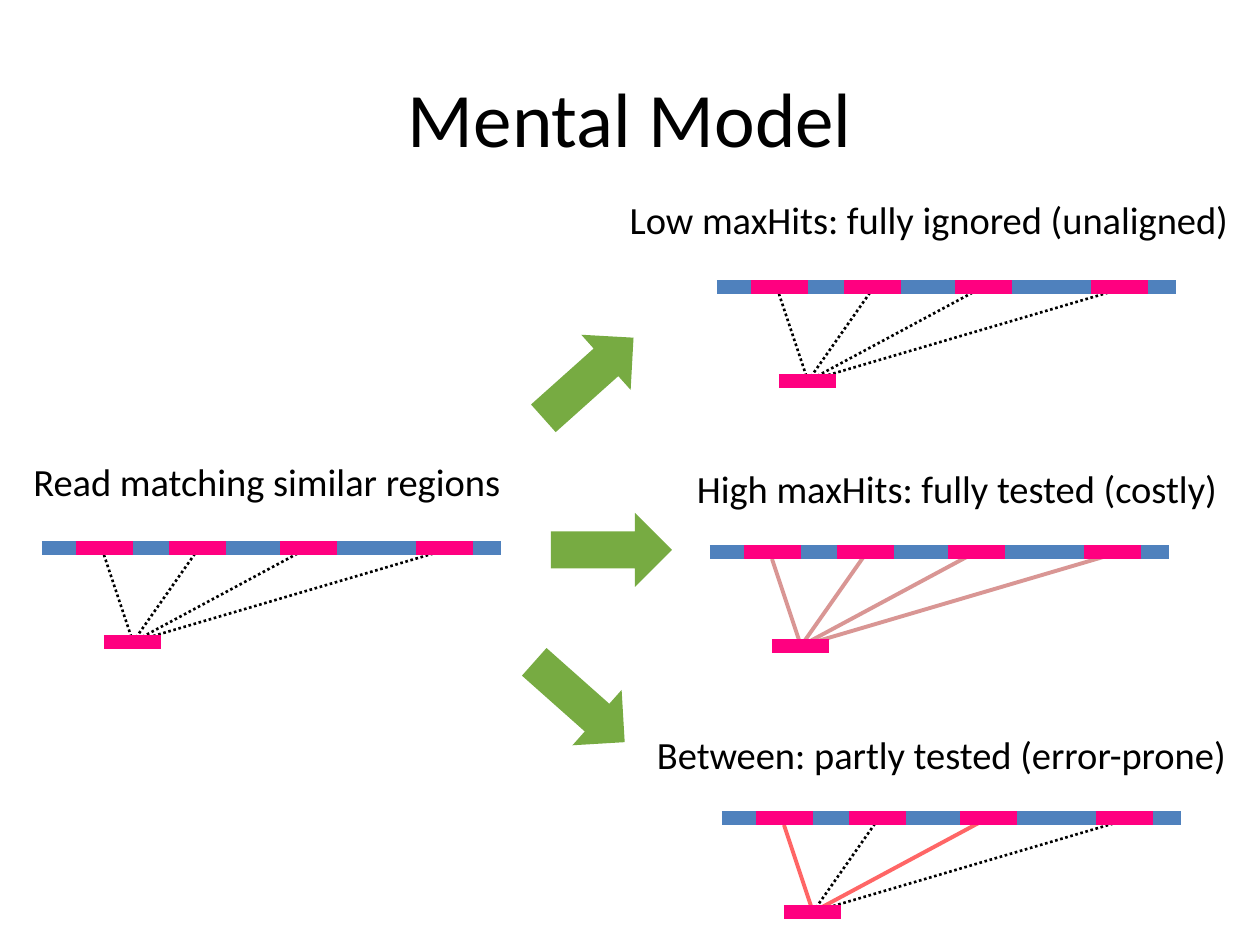
from lxml import etree
from pptx import Presentation
from pptx.dml.color import RGBColor
from pptx.enum.dml import MSO_LINE
from pptx.enum.shapes import MSO_CONNECTOR, MSO_SHAPE
from pptx.enum.text import MSO_ANCHOR, MSO_AUTO_SIZE, PP_ALIGN
from pptx.oxml.ns import qn
from pptx.util import Pt

PX = 914400 / 126
STRAIGHT = MSO_CONNECTOR.STRAIGHT
RIGHT_ARROW = MSO_SHAPE.RIGHT_ARROW
DOT = MSO_LINE.ROUND_DOT
MIDDLE = MSO_ANCHOR.MIDDLE
GROW = MSO_AUTO_SIZE.SHAPE_TO_FIT_TEXT
LEFT, CENTER = PP_ALIGN.LEFT, PP_ALIGN.CENTER

FONT = "Calibri"
BLACK, BLUE, PINK, GREEN = "000000", "4F81BD", "FF0080", "77AB42"

# Offsets in px from the left end of the genome bar
GENOME_LENGTH, REGION_LENGTH, BAR_WIDTH = 459, 57, 8
REGION_STARTS = (34, 127, 238, 374)
READ_START, READ_DROP = 62, 94
HUB = (91, 94)
LINK_ENDS = ((62, 7), (157, 0), (266, 0), (417, -2))

# Link styles: colour, width in points, dash
IGNORED = (BLACK, 1.5, DOT)
COSTLY = ("D99694", 2.25, None)
TESTED = ("FF6666", 2.25, None)


def emu(px):
    return round(px * PX)


def rgb(hex_colour):
    return RGBColor.from_string(hex_colour)


def add_line(shapes, start, end, colour, width, dash=None):
    line = shapes.add_connector(STRAIGHT, *map(emu, (*start, *end)))
    line.line.color.rgb = rgb(colour)
    line.line.width = Pt(width)
    if dash is not None:
        line.line.dash_style = dash
    etree.SubElement(line._element.spPr, qn("a:effectLst"))


def add_text(shapes, box, text, size, align):
    frame = shapes.add_textbox(*map(emu, box)).text_frame
    paragraph = frame.paragraphs[0]
    paragraph.alignment = align
    run = paragraph.add_run()
    run.text = text
    run.font.name = FONT
    run.font.size = Pt(size)
    run.font.color.rgb = rgb(BLACK)
    return frame


def add_title(shapes, box, text):
    frame = add_text(shapes, box, text, 44, CENTER)
    frame.word_wrap = True
    frame.vertical_anchor = MIDDLE


def add_label(shapes, box, text, align):
    frame = add_text(shapes, box, text, 22, align)
    frame.word_wrap = False
    frame.auto_size = GROW


def add_alignment(shapes, x, y, link_styles):
    """Draw a genome bar with its similar regions, linked to a read below."""
    for (dx, dy), style in zip(LINK_ENDS, link_styles):
        add_line(shapes, (x + HUB[0], y + HUB[1]), (x + dx, y + dy), *style)
    add_line(shapes, (x, y), (x + GENOME_LENGTH, y), BLUE, BAR_WIDTH)
    pieces = [(start, 0) for start in REGION_STARTS] + [(READ_START, READ_DROP)]
    for dx, dy in pieces:
        add_line(shapes, (x + dx, y + dy), (x + dx + REGION_LENGTH, y + dy),
                 PINK, BAR_WIDTH)


def add_arrow(shapes, x, y, rotation):
    arrow = shapes.add_shape(RIGHT_ARROW, *map(emu, (x, y, 121, 74)))
    arrow.shadow.inherit = False
    arrow.fill.solid()
    arrow.fill.fore_color.rgb = rgb(GREEN)
    arrow.line.fill.background()
    arrow.rotation = rotation


def add_outcome(slide, genome, label_box, label, link_styles, arrow):
    shapes = slide.shapes.add_group_shape().shapes
    add_label(shapes, label_box, label, CENTER)
    add_alignment(shapes, *genome, link_styles)
    add_arrow(shapes, *arrow)


def main():
    deck = Presentation()
    deck.slide_width, deck.slide_height = emu(1260), emu(945)
    slide = deck.slides.add_slide(deck.slide_layouts[6])

    add_title(slide.shapes, (63, 38, 1134, 158), "Mental Model")
    add_label(slide.shapes, (21, 452, 494, 59),
              "Read matching similar regions", LEFT)
    add_alignment(slide.shapes, 42, 548, [IGNORED] * 4)

    outcomes = (
        ((710, 552), (680, 459, 554, 59), "High maxHits: fully tested (costly)",
         [COSTLY] * 4, (551, 513, 0)),
        ((717, 287), (616, 190, 626, 59), "Low maxHits: fully ignored (unaligned)",
         [IGNORED] * 4, (528, 341, 318.2)),
        ((722, 818), (641, 725, 601, 59), "Between: partly tested (error-prone)",
         [TESTED, IGNORED] * 2, (519, 665, 41.6)),
    )
    for outcome in outcomes:
        add_outcome(slide, *outcome)
    deck.save("out.pptx")


if __name__ == "__main__":
    main()
